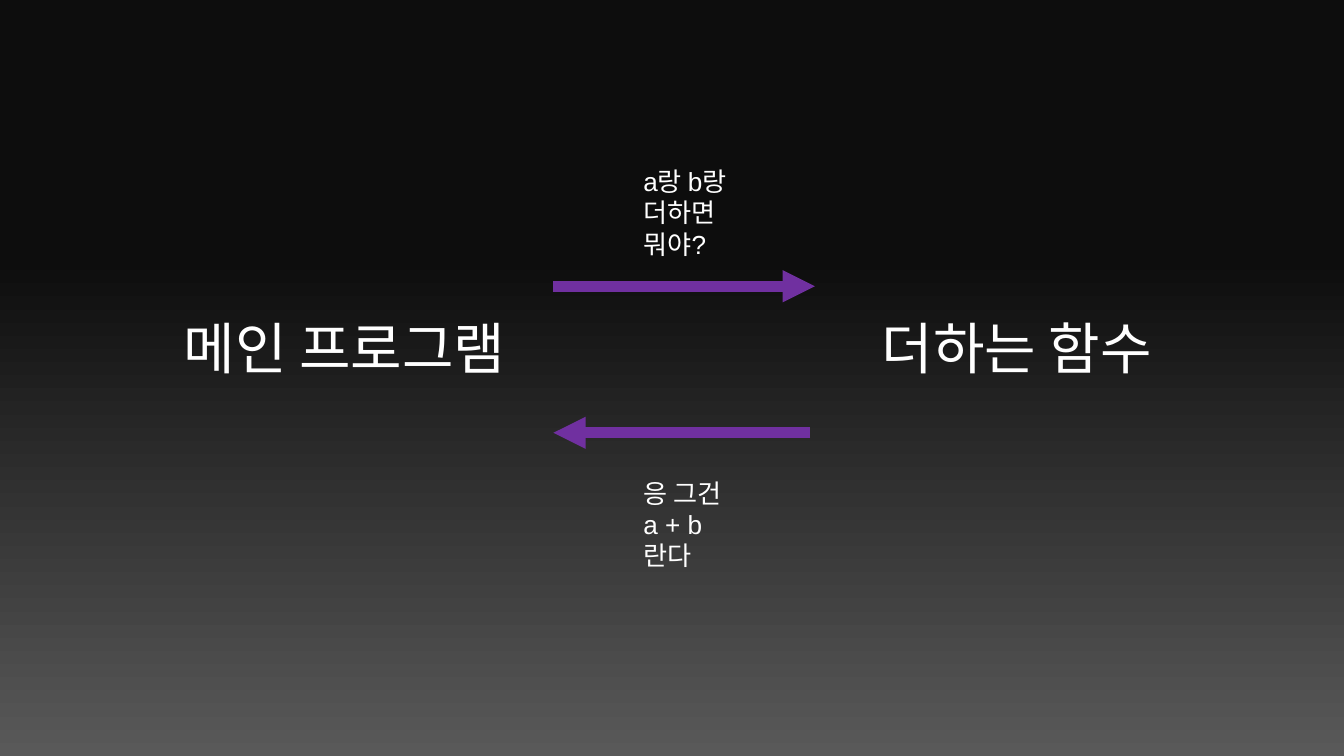
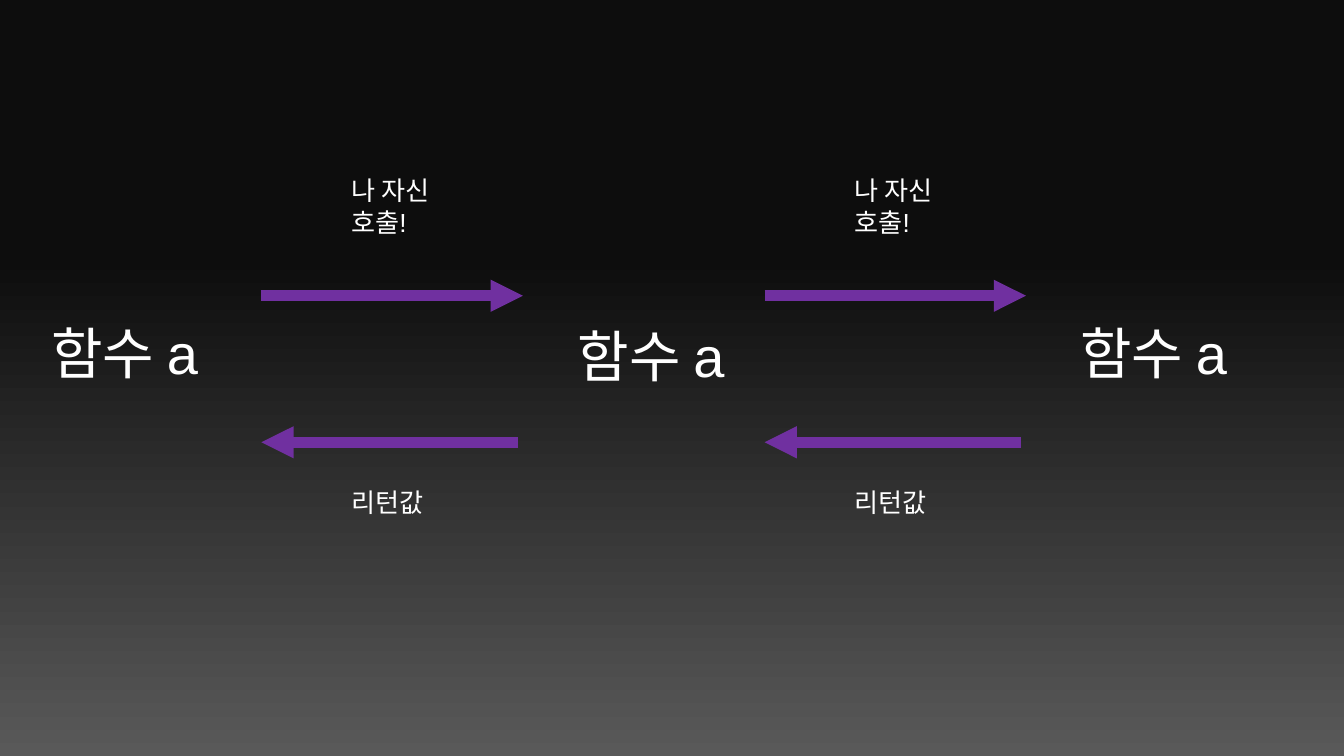
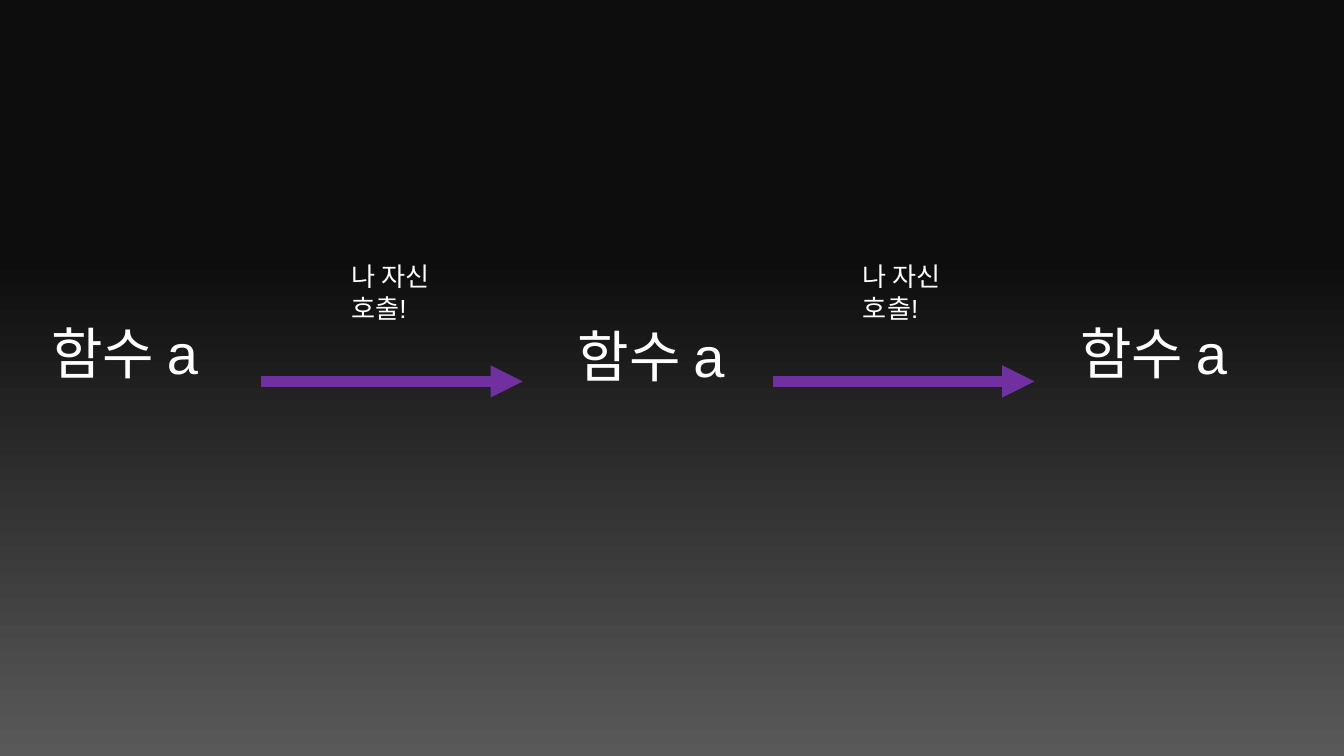
from dataclasses import dataclass

import pptx
import pptx.dml.color
import pptx.enum.shapes
import pptx.enum.text
import pptx.oxml.ns
import pptx.slide
import pptx.util
from lxml import etree

Cm = pptx.util.Cm
Pt = pptx.util.Pt

FONT = "Arial"
WHITE = "FFFFFF"
PURPLE = "7030A0"
BACKDROP = ((0.34, "0D0D0D"), (1.0, "595959"))

NAME_W, NAME_H = 7.19, 2.72
CALL_LENGTH, RETURN_LENGTH = 4.94, 4.85
RETURN_DROP = 2.77
LABEL_INDENT, LABEL_W = 1.45, 2.77
LABEL_LINE, LABEL_PADDING = 0.6, 0.26
CALL_LABEL_RISE, RETURN_LABEL_DROP = 2.41, 0.71


@dataclass(frozen=True)
class Name:
    text: str
    x: float
    y: float


@dataclass(frozen=True)
class Label:
    paragraphs: tuple[str, ...]
    lines: int


@dataclass(frozen=True)
class Exchange:
    x: float
    y: float
    call: Label
    reply: Label | None = None


@dataclass(frozen=True)
class Diagram:
    names: tuple[Name, ...]
    exchanges: tuple[Exchange, ...]


def rgb(value: str) -> pptx.dml.color.RGBColor:
    return pptx.dml.color.RGBColor.from_string(value)


def paint_background(master: pptx.slide.SlideMaster) -> None:
    fill = master.background.fill
    fill.gradient()
    fill.gradient_angle = 270
    for stop, (position, color) in zip(fill.gradient_stops, BACKDROP):
        stop.position = position
        stop.color.rgb = rgb(color)


def add_text(slide: pptx.slide.Slide, x: float, y: float, w: float, h: float,
             paragraphs: tuple[str, ...], size: float):
    tf = slide.shapes.add_textbox(Cm(x), Cm(y), Cm(w), Cm(h)).text_frame
    tf.word_wrap = True
    for i, text in enumerate(paragraphs):
        p = tf.add_paragraph() if i else tf.paragraphs[0]
        r = p.add_run()
        r.text = text
        r.font.name = FONT
        r.font.size = Pt(size)
        r.font.color.rgb = rgb(WHITE)
    return tf


def add_name(slide: pptx.slide.Slide, name: Name) -> None:
    tf = add_text(slide, name.x, name.y, NAME_W, NAME_H, (name.text,), 30)
    tf.margin_left = tf.margin_right = Cm(0.25)
    tf.margin_top = tf.margin_bottom = Cm(0.25)
    p = tf.paragraphs[0]
    p.alignment = pptx.enum.text.PP_ALIGN.CENTER
    p.line_spacing = 1.15


def add_label(slide: pptx.slide.Slide, x: float, y: float, label: Label) -> None:
    height = LABEL_PADDING + LABEL_LINE * label.lines
    tf = add_text(slide, x, y, LABEL_W, height, label.paragraphs, 14)
    tf.auto_size = pptx.enum.text.MSO_AUTO_SIZE.SHAPE_TO_FIT_TEXT


def add_arrow(slide: pptx.slide.Slide, x1: float, x2: float, y: float) -> None:
    sp = slide.shapes.add_connector(
        pptx.enum.shapes.MSO_CONNECTOR.STRAIGHT, Cm(x1), Cm(y), Cm(x2), Cm(y))
    sp.line.color.rgb = rgb(PURPLE)
    sp.line.width = Pt(5.75)
    qn = pptx.oxml.ns.qn
    ln = sp.line._get_or_add_ln()
    etree.SubElement(ln, qn("a:tailEnd"), type="triangle")
    etree.SubElement(sp._element.spPr, qn("a:effectLst"))


def add_exchange(slide: pptx.slide.Slide, ex: Exchange) -> None:
    label_x = ex.x + LABEL_INDENT
    add_arrow(slide, ex.x, ex.x + CALL_LENGTH, ex.y)
    add_label(slide, label_x, ex.y - CALL_LABEL_RISE, ex.call)
    if ex.reply:
        return_y = ex.y + RETURN_DROP
        add_arrow(slide, ex.x + RETURN_LENGTH, ex.x, return_y)
        add_label(slide, label_x, return_y + RETURN_LABEL_DROP, ex.reply)


def add_diagram(prs, diagram: Diagram) -> None:
    slide = prs.slides.add_slide(prs.slide_layouts[6])
    for name in diagram.names:
        add_name(slide, name)
    for exchange in diagram.exchanges:
        add_exchange(slide, exchange)


QUESTION = Label(("a랑 b랑 더하면 뭐야?",), 3)
ANSWER = Label(("응 그건", "a + b", "란다"), 3)
SELF_CALL = Label(("나 자신 호출!",), 2)
RETURN_VALUE = Label(("리턴값",), 1)
RECURSION = tuple(
    Name("함수 a", x, y) for x, y in ((-1.24, 5.59), (8.71, 5.64), (18.21, 5.59)))

DIAGRAMS = (
    Diagram((Name("메인 프로그램", 2.92, 5.49), Name("더하는 함수", 15.62, 5.49)),
            (Exchange(10.46, 5.41, QUESTION, ANSWER),)),
    Diagram(RECURSION,
            tuple(Exchange(x, 5.59, SELF_CALL, RETURN_VALUE) for x in (4.94, 14.45))),
    Diagram(RECURSION,
            tuple(Exchange(x, 7.21, SELF_CALL) for x in (4.94, 14.61))),
)

prs = pptx.Presentation()
prs.slide_width = Cm(25.4)
prs.slide_height = Cm(14.29)
paint_background(prs.slide_master)
for diagram in DIAGRAMS:
    add_diagram(prs, diagram)
prs.save("out.pptx")
